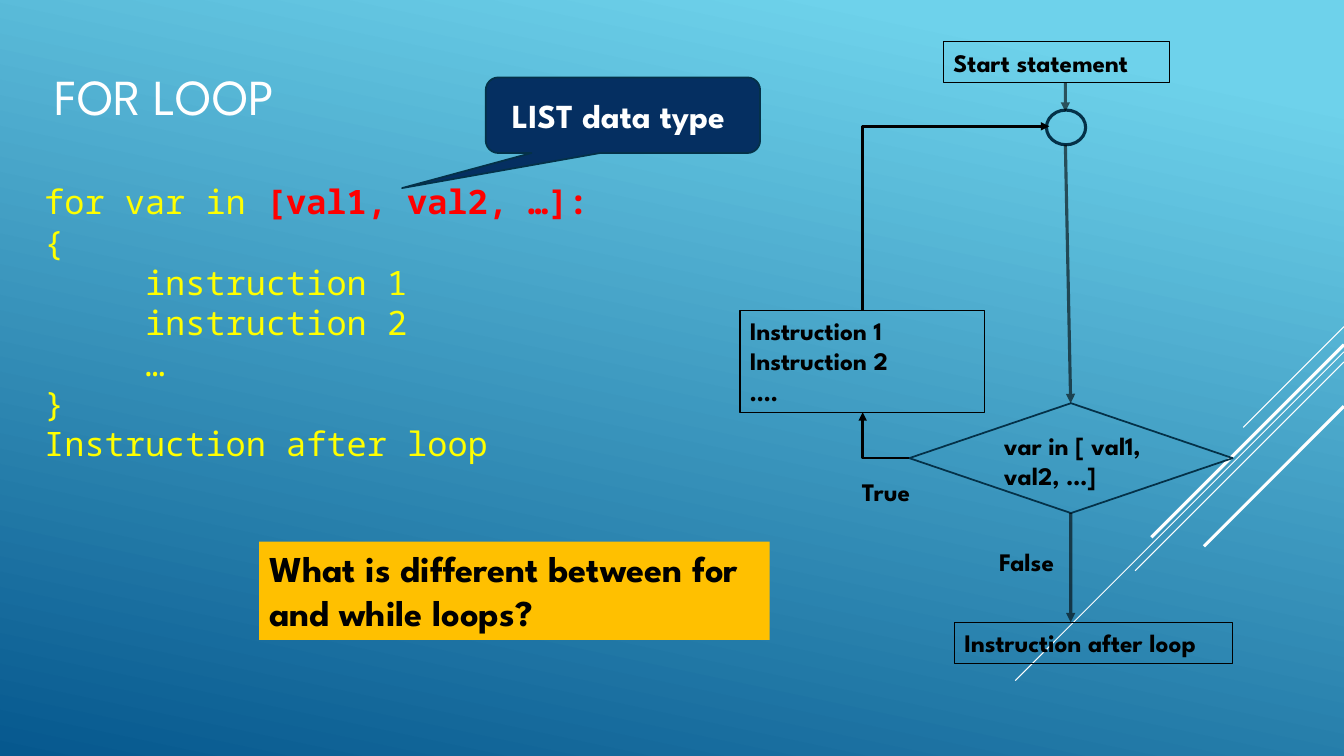
from dataclasses import dataclass

from lxml import etree
from pptx import Presentation
from pptx.dml.color import RGBColor
from pptx.enum.shapes import MSO_CONNECTOR, MSO_SHAPE
from pptx.enum.text import MSO_ANCHOR, MSO_AUTO_SIZE, PP_ALIGN
from pptx.oxml.ns import qn
from pptx.util import Pt

RECTANGLE = MSO_SHAPE.RECTANGLE
DIAMOND = MSO_SHAPE.DIAMOND
OVAL = MSO_SHAPE.OVAL
CALLOUT = MSO_SHAPE.ROUNDED_RECTANGULAR_CALLOUT
STRAIGHT = MSO_CONNECTOR.STRAIGHT
LEFT, CENTER = PP_ALIGN.LEFT, PP_ALIGN.CENTER
TOP, MIDDLE = MSO_ANCHOR.TOP, MSO_ANCHOR.MIDDLE
FIT_SHAPE = MSO_AUTO_SIZE.SHAPE_TO_FIT_TEXT

COLORS = {
    "sky": "6ED2EB", "sea": "06588E", "white": "FFFFFF", "black": "000000",
    "code": "FFFF00", "list": "FF0000", "outline": "043148",
    "callout": "052F61", "question": "FFC000",
}
HEADING_FONT = "League Spartan"
CODE_FONT = "Noto Sans Mono"
SLIDE_WIDTH, SLIDE_HEIGHT = 960, 540


@dataclass
class Box:
    left: float
    top: float
    width: float
    height: float
    lines: tuple[str, ...] = ()
    kind: MSO_SHAPE = RECTANGLE
    fill: str | None = None
    line: str | None = None
    line_width: float = 0.75
    size: float = 18
    color: str = "black"


@dataclass
class Label:
    left: float
    top: float
    width: float
    height: float
    text: str
    wrap: bool = False


@dataclass
class Arrow:
    start: tuple[float, float]
    end: tuple[float, float]
    bent: bool = False
    arrow_end: str = "tailEnd"


@dataclass
class Stripe:
    """A diagonal at 45 degrees, falling leftwards from the right slide edge."""
    top: float
    run: float
    width: float


STRIPES = (
    Stripe(233.3, 72, 0.75), Stripe(251.3, 234.8, 0.75), Stripe(258.5, 149.2, 0.75),
    Stripe(246.2, 137.6, 2.25), Stripe(290.2, 100, 2.25),
)
FLOW_BOXES = (
    Box(649.5, 288, 231, 78.5, kind=DIAMOND, line="outline", line_width=1.25),
    Box(681.8, 444.7, 198.7, 29.1, ("Instruction after loop",), line="black"),
    Box(528.6, 221.8, 175, 72.7, ("Instruction 1", "Instruction 2", "…."), line="black"),
    Box(747.5, 78.6, 28, 24.8, kind=OVAL, line="outline", line_width=2.25),
    Box(673.9, 29.9, 161.8, 29.1, ("Start statement",), line="black"),
)
QUESTION = Box(185.2, 386.8, 364.6, 70.2,
               ("What is different between for and while loops?",),
               fill="question", size=26)
LIST_CALLOUT = Box(347, 55.3, 196, 54, ("LIST data type ",), CALLOUT,
                   "callout", "outline", 1.25, 24, "white")
LABELS = (
    Label(706.5, 386.8, 59, 29.1, "False"),
    Label(608.5, 337, 50.5, 29.1, "True"),
    Label(710, 304, 131, 51, "var in [ val1, val2, …]", wrap=True),
)
ARROWS = (
    Arrow((749.5, 90.2), (616.2, 221.8), bent=True, arrow_end="headEnd"),
    Arrow((764.8, 366.5), (764.8, 444.5)),
    Arrow((649.5, 327.2), (616.2, 294.5), bent=True),
    Arrow((761, 103.5), (764.8, 288)),
    Arrow((761, 59), (761, 79.8)),
)
LOOP_START = (("for var in ", "code"), ("[val1, val2, …]:", "list"))
LOOP_REST = ("{", "     instruction 1", "     instruction 2", "     …", "}",
             "Instruction after loop")


def rgb(name: str) -> RGBColor:
    return RGBColor.from_string(COLORS[name])


def write_lines(frame, lines: tuple[str, ...], size: float, color: str,
                align: PP_ALIGN = LEFT) -> None:
    for index, text in enumerate(lines):
        paragraph = frame.add_paragraph() if index else frame.paragraphs[0]
        paragraph.text = text
        paragraph.alignment = align
        font = paragraph.font
        font.name, font.size, font.bold = HEADING_FONT, Pt(size), True
        font.color.rgb = rgb(color)


def add_box(slide, box: Box):
    shape = slide.shapes.add_shape(box.kind, Pt(box.left), Pt(box.top),
                                   Pt(box.width), Pt(box.height))
    shape.shadow.inherit = False
    if box.fill:
        shape.fill.solid()
        shape.fill.fore_color.rgb = rgb(box.fill)
    else:
        shape.fill.background()
    if box.line:
        shape.line.color.rgb = rgb(box.line)
        shape.line.width = Pt(box.line_width)
    else:
        shape.line.fill.background()
    if box.lines:
        frame = shape.text_frame
        frame.word_wrap = True
        frame.vertical_anchor = TOP
        write_lines(frame, box.lines, box.size, box.color)
    return shape


def add_text_box(slide, left: float, top: float, width: float, height: float,
                 wrap: bool = False):
    frame = slide.shapes.add_textbox(Pt(left), Pt(top), Pt(width), Pt(height)).text_frame
    frame.word_wrap = wrap
    frame.auto_size = FIT_SHAPE
    return frame


def add_line(slide, start: tuple[float, float], end: tuple[float, float],
             color: str, width: float):
    connector = slide.shapes.add_connector(STRAIGHT, *map(Pt, (*start, *end)))
    connector.line.color.rgb = rgb(color)
    connector.line.width = Pt(width)
    etree.SubElement(connector._element.spPr, qn("a:effectLst"))
    return connector


def add_arrow(slide, arrow: Arrow) -> None:
    connector = add_line(slide, arrow.start, arrow.end, "black", 2 if arrow.bent else 2.25)
    properties = connector._element.spPr
    if arrow.bent:
        properties.find(qn("a:prstGeom")).set("prst", "bentConnector2")
        # A half turn replaces the horizontal flip and inverts the vertical one.
        transform = properties.find(qn("a:xfrm"))
        flipped = transform.get("flipV") == "1"
        transform.set("rot", "10800000")
        transform.set("flipH", "0")
        transform.set("flipV", "0" if flipped else "1")
    else:
        color = properties.find(".//" + qn("a:srgbClr"))
        etree.SubElement(color, qn("a:alpha"), val="60000")
    etree.SubElement(properties.find(qn("a:ln")), qn("a:" + arrow.arrow_end), type="triangle")


def add_background(slide) -> None:
    fill = slide.background.fill
    fill.gradient()
    fill.gradient_angle = 258
    for stop, position, color in zip(fill.gradient_stops, (0.1, 1), ("sky", "sea")):
        stop.position = position
        stop.color.rgb = rgb(color)


def add_title(slide) -> None:
    title = slide.shapes.title
    title.left, title.top, title.width, title.height = map(Pt, (31.7, 8.6, 671.8, 118.8))
    title.text_frame.vertical_anchor = MIDDLE
    write_lines(title.text_frame, ("FOR LOOP",), 36, "white")
    title.text_frame.paragraphs[0].font.bold = False


def add_code(slide) -> None:
    frame = add_text_box(slide, 24.5, 126, 406.8, 211)
    for text, color in LOOP_START:
        run = frame.paragraphs[0].add_run()
        run.text = text
        run.font.bold = color == "list"
        run.font.color.rgb = rgb(color)
    for text in LOOP_REST:
        paragraph = frame.add_paragraph()
        paragraph.text = text
        paragraph.font.color.rgb = rgb("code")
    for paragraph in frame.paragraphs:
        paragraph.font.name, paragraph.font.size = CODE_FONT, Pt(24)


def main() -> None:
    presentation = Presentation()
    presentation.slide_width, presentation.slide_height = Pt(SLIDE_WIDTH), Pt(SLIDE_HEIGHT)
    slide = presentation.slides.add_slide(presentation.slide_layouts[5])
    add_background(slide)
    for stripe in STRIPES:
        add_line(slide, (SLIDE_WIDTH, stripe.top),
                 (SLIDE_WIDTH - stripe.run, stripe.top + stripe.run), "white", stripe.width)
    add_title(slide)
    add_code(slide)
    for box in (*FLOW_BOXES, QUESTION):
        add_box(slide, box)
    for arrow in ARROWS:
        add_arrow(slide, arrow)
    for label in LABELS:
        frame = add_text_box(slide, label.left, label.top, label.width, label.height, label.wrap)
        write_lines(frame, (label.text,), 18, "black")
    callout = add_box(slide, LIST_CALLOUT)
    callout.adjustments[0], callout.adjustments[1] = -0.805, 0.964
    callout.text_frame.vertical_anchor = MIDDLE
    callout.text_frame.paragraphs[0].alignment = CENTER
    presentation.save("out.pptx")


if __name__ == "__main__":
    main()
